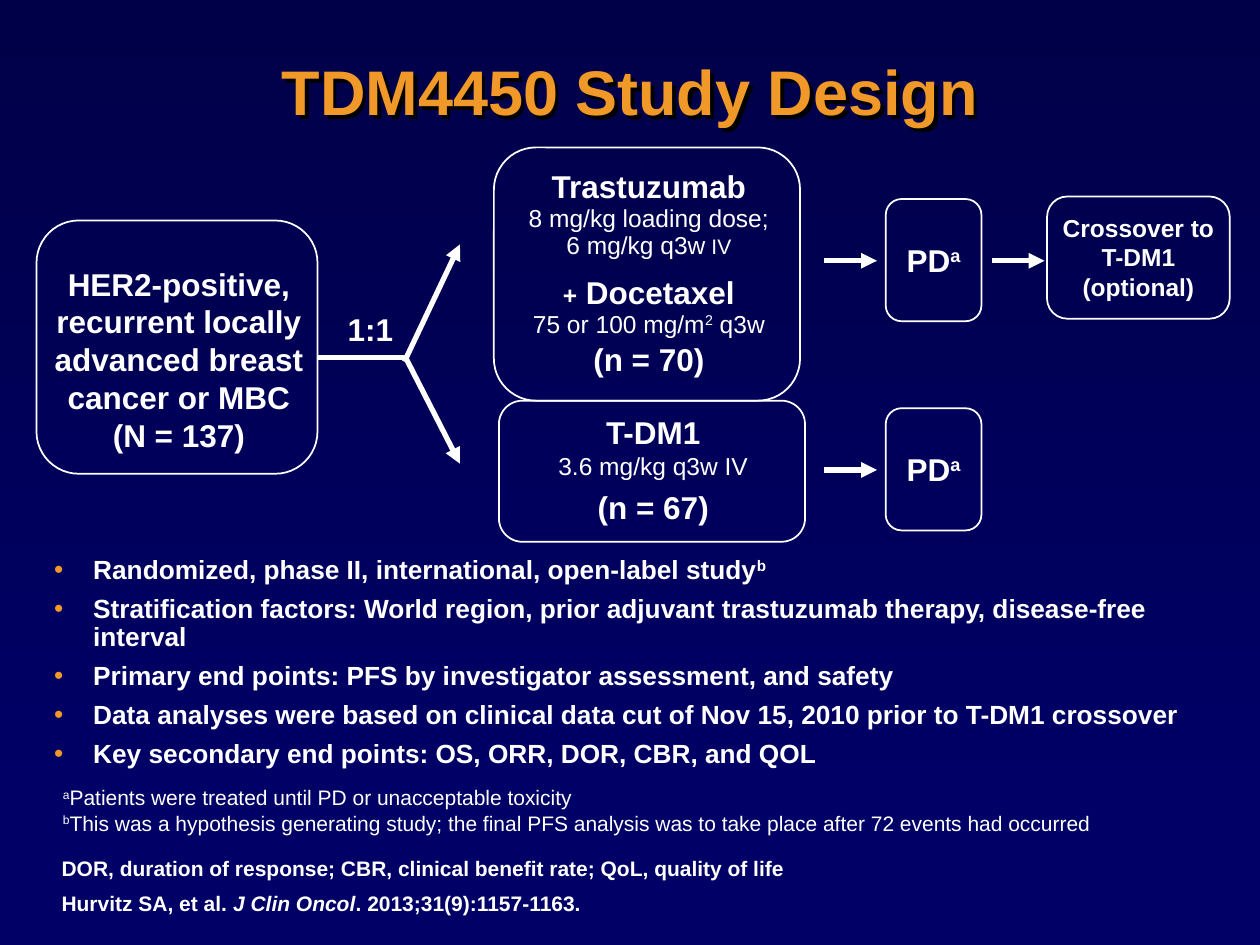
from lxml.etree import SubElement
from pptx import Presentation
from pptx.dml.color import RGBColor
from pptx.enum.shapes import MSO_CONNECTOR, MSO_SHAPE
from pptx.enum.text import MSO_ANCHOR, MSO_AUTO_SIZE, PP_ALIGN
from pptx.oxml import parse_xml
from pptx.oxml.ns import nsdecls, qn
from pptx.util import Inches, Pt

WHITE = RGBColor(0xFF, 0xFF, 0xFF)
ORANGE = RGBColor(0xF0, 0x98, 0x28)
NAVY_TOP = RGBColor(0x00, 0x00, 0x49)
NAVY = RGBColor(0x00, 0x00, 0x66)
FONT = "Arial"

# Content: a line is (space before, runs); a run is (text, size, style),
# with style letters b = bold, i = italic, ^ = superscript
TITLE = "TDM4450 Study Design"
BULLETS = [
    [("Randomized, phase II, international, open-label study", 15, "b"), ("b", 15, "b^")],
    [("Stratification factors: World region, prior adjuvant trastuzumab therapy, "
      "disease-free interval", 15, "b")],
    [("Primary end points: PFS by investigator assessment, and safety", 15, "b")],
    [("Data analyses were based on clinical data cut of Nov 15, 2010 prior to "
      "T-DM1 crossover", 15, "b")],
    [("Key secondary end points: OS, ORR, DOR, CBR, and QOL", 15, "b")],
]
POPULATION = [
    (0, [("HER2-positive, recurrent locally advanced breast cancer or MBC", 18, "b")]),
    (0, [("(N = 137)", 18, "b")]),
]
RATIO = [(0, [("1:1", 18, "b")])]
CONTROL_ARM = [
    (0, [("Trastuzumab", 18, "b")]),
    (0, [("8 mg/kg loading dose;", 14, "")]),
    (0, [("6 mg/kg q3w", 14, ""), (" IV", 12, "")]),
    (9, [("+", 14, "b"), (" Docetaxel", 18, "b")]),
    (0, [("75 or 100 mg/m", 14, ""), ("2", 14, "^"), (" q3w", 14, "")]),
    (3, [("(n = 70)", 18, "b")]),
]
TDM1_ARM = [
    (0, [("T-DM1", 18, "b")]),
    (1, [("3.6 mg/kg q3w IV", 14, "")]),
    (6, [("(n = 67)", 18, "b")]),
]
PROGRESSION = [(0, [("PD", 18, "b"), ("a", 18, "b^")])]
CROSSOVER = [(0, [(words, 14, "b")]) for words in ("Crossover to", "T-DM1", "(optional)")]
FOOTNOTES = [
    (0, [("a", 12, "^"), ("Patients were treated until PD or unacceptable toxicity", 12, "")]),
    (0, [("b", 12, "^"), ("This was a hypothesis generating study; the final PFS analysis "
                          "was to take place after 72 events had occurred", 12, "")]),
]
ABBREVIATIONS = [(0, [("DOR, duration of response; CBR, clinical benefit rate; "
                       "QoL, quality of life", 12, "b")])]
CITATION = [(0, [("Hurvitz SA, et al. ", 12, "b"), ("J Clin Oncol", 12, "bi"),
                 (". 2013;31(9):1157-1163.", 12, "b")])]

# Rows of the two study arms, and the fork that leads to them
CONTROL_Y, ARM_GAP = 2.07, 1.66
FORK_X, FORK_Y, FORK_TIP_X = 3.21, 2.84, 3.65

# Diagram labels: lines, (left, top, width, height), line spacing
LABELS = [
    (RATIO, (2.48, 2.41, 0.92, 0.4), 1),
    (POPULATION, (0.35, 1.53, 2.14, 2.64), 1),
    (CONTROL_ARM, (3.71, 1.56, 2.88, 1.24), 0.93),
    (TDM1_ARM, (4.16, 3.31, 2.05, 0.87), 0.93),
    (CROSSOVER, (8.34, 1.81, 1.39, 0.46), 1),
]
# Notes below the bullets: lines, box
NOTES = [
    (FOOTNOTES, (0.4, 6.18, 9.57, 0.51)),
    (ABBREVIATIONS, (0.39, 6.74, 9.18, 0.3)),
    (CITATION, (0.39, 7.02, 9.18, 0.3)),
]
FRAMES = [
    (3.92, 1.17, 2.43, 2.01),  # control arm
    (0.29, 1.75, 2.23, 2.01),  # population
    (3.96, 3.18, 2.43, 1.12),  # T-DM1 arm
    (8.31, 1.56, 1.45, 0.97),  # crossover
]
# Arrows: from x, y to x, y, with head
ARROWS = [
    (2.52, FORK_Y, FORK_X + 0.03, FORK_Y, False),
    (FORK_X, FORK_Y + 0.03, FORK_TIP_X, 1.94, True),
    (FORK_X, FORK_Y - 0.02, FORK_TIP_X, 3.68, True),
    (7.87, CONTROL_Y, 8.29, CONTROL_Y, True),
]
for row in range(2):
    shift = row * ARM_GAP
    LABELS.append((PROGRESSION, (7.05, 1.77 + shift, 0.72, 0.58), 1))
    FRAMES.append((7.03, 1.58 + shift, 0.76, 0.97))
    ARROWS.append((6.54, CONTROL_Y + shift, 6.96, CONTROL_Y + shift, True))


def place(shape, box):
    shape.left, shape.top, shape.width, shape.height = map(Inches, box)


def write_runs(paragraph, runs, color=WHITE):
    for words, size, style in runs:
        run = paragraph.add_run()
        run.text = words
        font = run.font
        font.name, font.size = FONT, Pt(size)
        font.bold, font.italic = "b" in style, "i" in style
        font.color.rgb = color
        if "^" in style:
            run._r.get_or_add_rPr().set("baseline", "30000")


def add_bullet(paragraph):
    props = paragraph._p.get_or_add_pPr()
    props.set("marL", str(Inches(0.31)))
    props.set("indent", str(-Inches(0.31)))
    tint = SubElement(props, qn("a:buClr"))
    SubElement(tint, qn("a:srgbClr")).set("val", str(ORANGE))
    SubElement(props, qn("a:buChar")).set("char", "•")


def add_text(slide, lines, box, spacing=1, align=PP_ALIGN.LEFT):
    frame = slide.shapes.add_textbox(*map(Inches, box)).text_frame
    frame.word_wrap = True
    for index, (before, runs) in enumerate(lines):
        paragraph = frame.add_paragraph() if index else frame.paragraphs[0]
        paragraph.alignment, paragraph.line_spacing = align, float(spacing)
        if before:
            paragraph.space_before = Pt(before)
        write_runs(paragraph, runs)
    return frame


def add_label(slide, lines, box, spacing):
    frame = add_text(slide, lines, box, spacing, PP_ALIGN.CENTER)
    frame.vertical_anchor = MSO_ANCHOR.MIDDLE
    frame.margin_left = frame.margin_right = 0


def add_frame(slide, box):
    frame = slide.shapes.add_shape(MSO_SHAPE.ROUNDED_RECTANGLE, *map(Inches, box))
    frame.shadow.inherit = False
    frame.fill.background()
    frame.line.color.rgb = WHITE
    frame.line.width = Pt(1)


def add_arrow(slide, x1, y1, x2, y2, head):
    arrow = slide.shapes.add_connector(MSO_CONNECTOR.STRAIGHT, *map(Inches, (x1, y1, x2, y2)))
    arrow.line.color.rgb = WHITE
    arrow.line.width = Pt(3)
    if head:
        SubElement(arrow.line._get_or_add_ln(), qn("a:tailEnd")).set("type", "triangle")
    SubElement(arrow._element.spPr, qn("a:effectLst"))


def main():
    prs = Presentation()
    prs.slide_width, prs.slide_height = Inches(10), Inches(7.5)
    slide = prs.slides.add_slide(prs.slide_layouts[1])

    # Background gradient, dark at the top
    backdrop = slide.background.fill
    backdrop.gradient()
    backdrop.gradient_angle = 270
    for stop, color, position in zip(backdrop.gradient_stops, (NAVY_TOP, NAVY), (0, 0.86)):
        stop.color.rgb, stop.position = color, position

    # Title with a drop shadow
    title, body = slide.placeholders
    place(title, (0.37, 0.13, 9.26, 1.25))
    heading = title.text_frame.paragraphs[0]
    heading.alignment, heading.line_spacing = PP_ALIGN.CENTER, 0.9
    write_runs(heading, [(TITLE, 36, "b")], ORANGE)
    title.fill.background()
    title._element.spPr.append(parse_xml(
        f'<a:effectLst {nsdecls("a")}><a:outerShdw dist="38100" dir="2700000">'
        '<a:srgbClr val="000000"/></a:outerShdw></a:effectLst>'))

    # Study facts
    place(body, (0.33, 4.37, 9.64, 1.6))
    body.text_frame.auto_size = MSO_AUTO_SIZE.NONE
    for index, runs in enumerate(BULLETS):
        fact = body.text_frame.add_paragraph() if index else body.text_frame.paragraphs[0]
        add_bullet(fact)
        fact.line_spacing, fact.space_before, fact.space_after = 0.9, Pt(0), Pt(6)
        write_runs(fact, runs)

    # Flow diagram
    for arrow in ARROWS:
        add_arrow(slide, *arrow)
    for box in FRAMES:
        add_frame(slide, box)
    for label in LABELS:
        add_label(slide, *label)

    # Notes
    for note in NOTES:
        add_text(slide, *note)

    prs.save("out.pptx")


if __name__ == "__main__":
    main()
